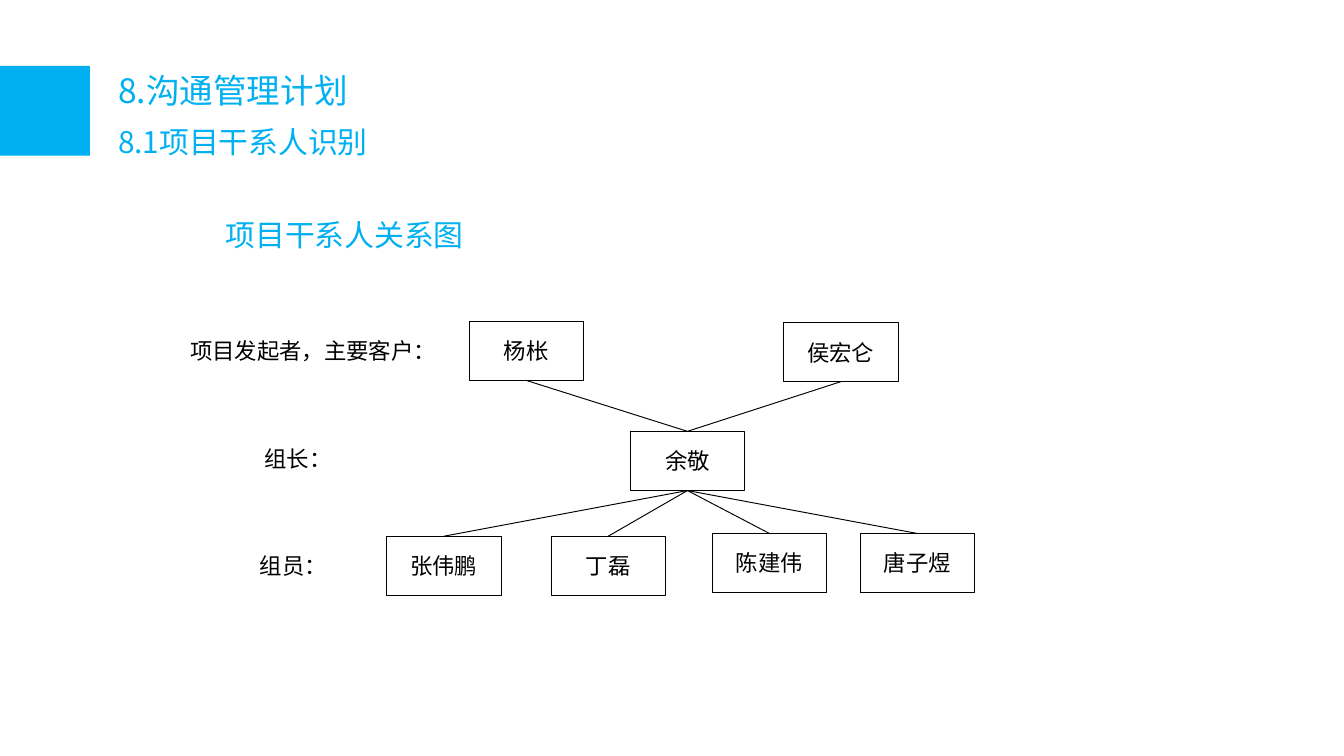
from lxml import etree
from pptx import Presentation
from pptx.dml.color import RGBColor
from pptx.enum.shapes import MSO_CONNECTOR, MSO_SHAPE
from pptx.enum.text import MSO_ANCHOR, PP_ALIGN
from pptx.oxml.ns import qn
from pptx.util import Pt

RECTANGLE = MSO_SHAPE.RECTANGLE
STRAIGHT = MSO_CONNECTOR.STRAIGHT
MIDDLE, TOP = MSO_ANCHOR.MIDDLE, MSO_ANCHOR.TOP
CENTER, LEFT = PP_ALIGN.CENTER, PP_ALIGN.LEFT

COLORS = {"accent": "00B0F0", "ink": "000000"}
HEADING_FONT, DIAGRAM_FONT = "Noto Sans CJK SC", "Arial"
CHINESE_FONT = "Noto Sans CJK SC"

HEADINGS = [
    ("8.沟通管理计划", 18, (56.2, 33.8, 162.7, 28.8)),
    ("8.1项目干系人识别", 16, (56.2, 62.6, 164.2, 26.6)),
    ("项目干系人关系图", 16, (113.8, 112.3, 632.2, 26.6)),
]
ROLES = [
    ("项目发起者，主要客户：", (92.2, 172.1, 151.2)),
    ("组长：", (116.6, 229.7, 86.4)),
    ("组员：", (116.6, 287.3, 81.4)),
]
SPONSORS = [("杨枨", 251.3, 172.1), ("侯宏仑", 419.8, 172.8)]
LEADER = ("余敬", 337.7, 231.1)
MEMBERS = [
    ("张伟鹏", 207.1, 287.3),
    ("丁磊", 295.2, 287.3),
    ("陈建伟", 381.6, 285.8),
    ("唐子煜", 460.8, 285.8),
]
BOX_WIDTH, BOX_HEIGHT = 61.2, 31.7
TOP_SITE, BOTTOM_SITE = 0, 2


def color(key):
    return RGBColor.from_string(COLORS[key])


def write(shape, words, size, font_name, color_key, align, anchor):
    frame = shape.text_frame
    frame.text = words
    frame.vertical_anchor = anchor
    paragraph = frame.paragraphs[0]
    paragraph.alignment = align
    font = paragraph.runs[0].font
    font.size, font.name = Pt(size), font_name
    font.color.rgb = color(color_key)
    latin = font._element.find(qn("a:latin"))
    east_asian = etree.Element(qn("a:ea"), typeface=CHINESE_FONT)
    latin.addnext(east_asian)


def add_person(slide, name, left, top):
    box = slide.shapes.add_shape(
        RECTANGLE, Pt(left), Pt(top), Pt(BOX_WIDTH), Pt(BOX_HEIGHT))
    box.shadow.inherit = False
    box.fill.background()
    box.line.color.rgb = color("ink")
    box.line.width = Pt(0.25)
    write(box, name, 12, DIAGRAM_FONT, "ink", CENTER, MIDDLE)
    return box


def link(slide, upper, lower):
    line = slide.shapes.add_connector(STRAIGHT, 0, 0, 0, 0)
    line.begin_connect(upper, BOTTOM_SITE)
    line.end_connect(lower, TOP_SITE)
    line.line.color.rgb = color("ink")
    line.line.width = Pt(0.5)
    etree.SubElement(line._element.spPr, qn("a:effectLst"))


def main():
    deck = Presentation()
    deck.slide_width, deck.slide_height = Pt(720), Pt(405)
    slide = deck.slides.add_slide(deck.slide_layouts[6])

    marker = slide.shapes.add_shape(RECTANGLE, 0, Pt(35.3), Pt(48.2), Pt(48.2))
    marker.shadow.inherit = False
    marker.fill.solid()
    marker.fill.fore_color.rgb = color("accent")
    marker.line.fill.background()

    for words, size, place in HEADINGS:
        heading = slide.shapes.add_textbox(*map(Pt, place))
        heading.text_frame.word_wrap = True
        write(heading, words, size, HEADING_FONT, "accent", LEFT, TOP)

    for words, place in ROLES:
        role = slide.shapes.add_textbox(*map(Pt, place), Pt(BOX_HEIGHT))
        role.text_frame.word_wrap = True
        write(role, words, 12, DIAGRAM_FONT, "ink", CENTER, MIDDLE)

    leader = add_person(slide, *LEADER)
    for sponsor in SPONSORS:
        link(slide, add_person(slide, *sponsor), leader)
    for member in MEMBERS:
        link(slide, leader, add_person(slide, *member))

    deck.save("out.pptx")


if __name__ == "__main__":
    main()
